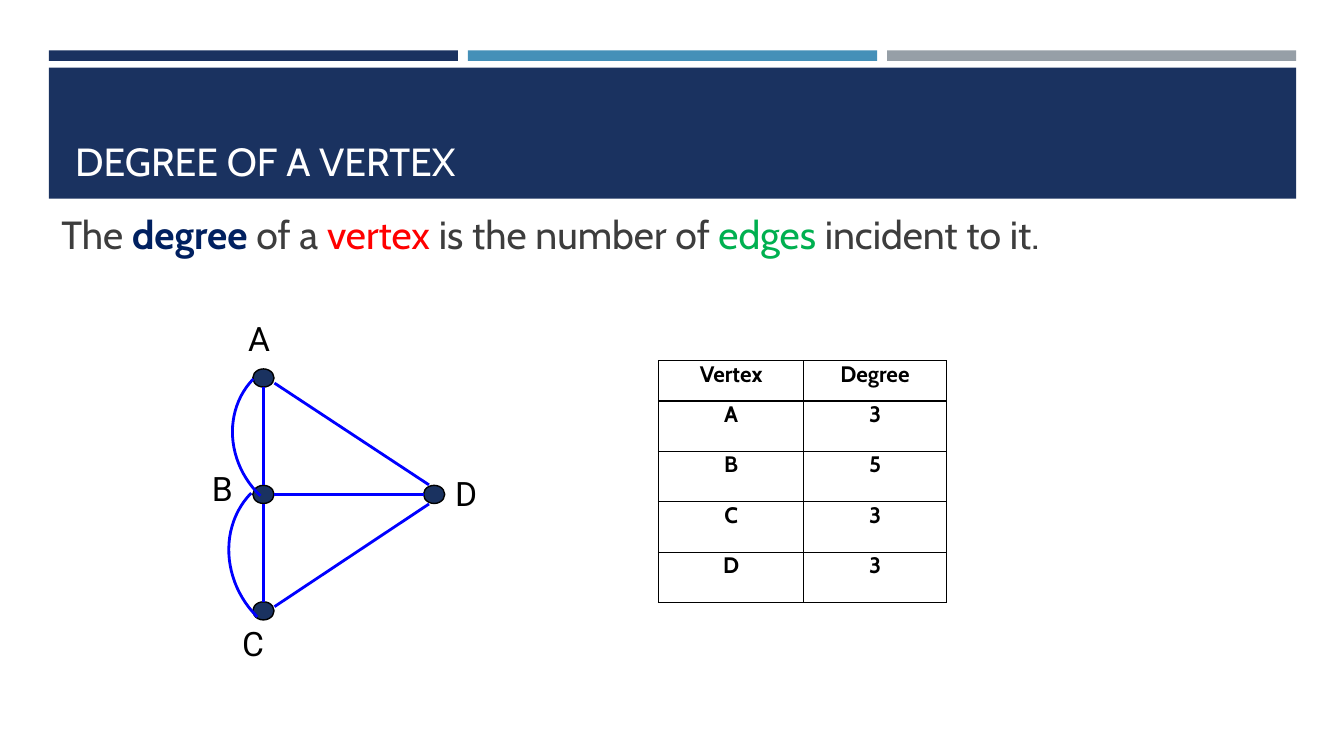
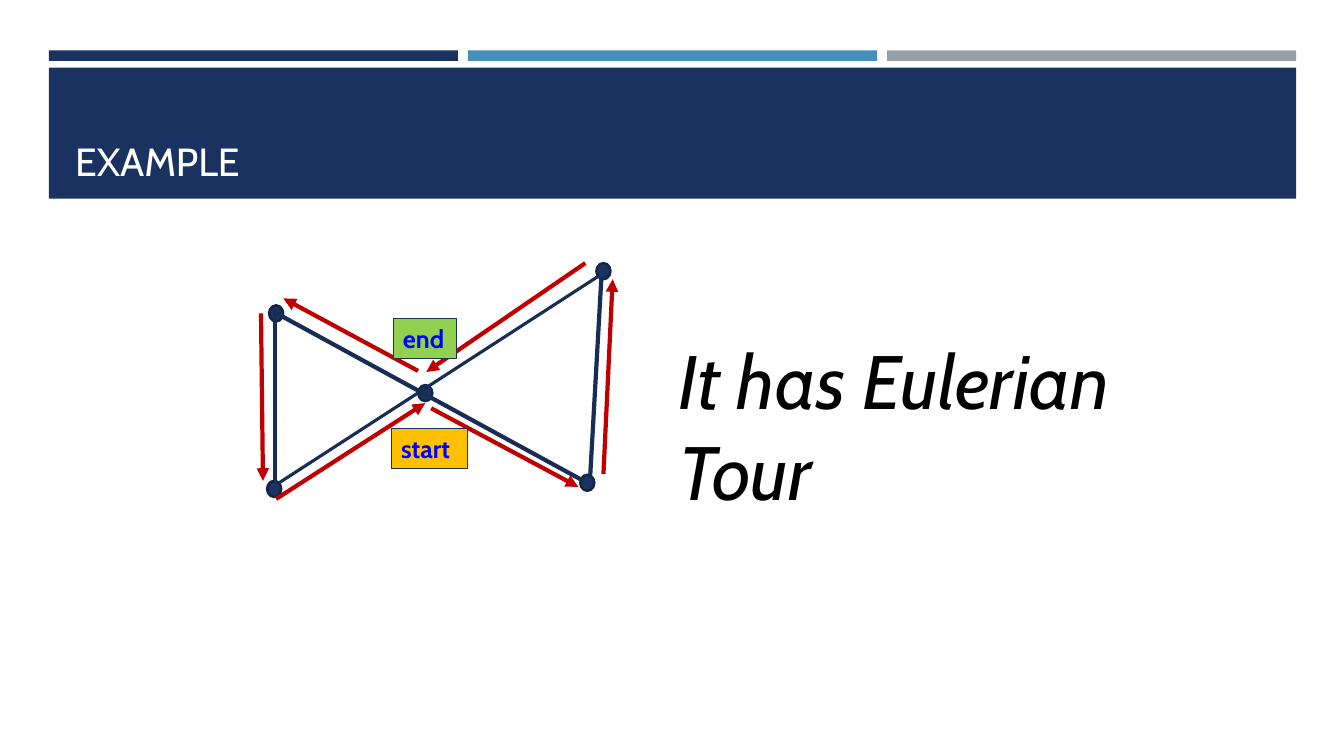
import dataclasses

import pptx
import pptx.dml.color
import pptx.enum.shapes
import pptx.enum.text
import pptx.oxml
import pptx.oxml.ns
import pptx.util

SHAPE = pptx.enum.shapes.MSO_SHAPE
ANCHOR = pptx.enum.text.MSO_ANCHOR
ALIGN = pptx.enum.text.PP_ALIGN
Pt = pptx.util.Pt
NS = pptx.oxml.ns.nsdecls("a")

COLORS = {
    "navy": "1A3260", "sky": "4590B8", "grey": "969FA7", "white": "FFFFFF",
    "black": "000000", "text": "3D3D3D", "term": "002060", "red": "FF0000",
    "green": "00B050", "blue": "0000FF", "node_line": "132547",
    "edge": "172D56", "tour": "C00000", "amber": "FFC000", "lime": "92D050",
}
TITLE = {"name": "Cabin", "size": Pt(28), "color": "white"}
BODY = {"name": "Cabin", "size": Pt(28), "color": "text"}
LABEL = {"name": "Roboto", "size": Pt(24), "color": "black"}
CELL = {"name": "Cabin", "size": Pt(16), "bold": True, "color": "black"}
TAG = {"name": "Cabin", "size": Pt(18), "bold": True, "color": "blue"}
CLAIM = {"name": "Cabin", "size": Pt(54), "italic": True, "color": "black"}


@dataclasses.dataclass
class Box:
    """A region in EMU; its inner boxes are given in percent of it."""
    x: float
    y: float
    w: float
    h: float

    def point(self, px, py):
        return round(self.x + self.w * px / 100), round(self.y + self.h * py / 100)

    def inner(self, px, py, pw, ph):
        return Box(*self.point(px, py), round(self.w * pw / 100), round(self.h * ph / 100))

    def place(self):
        return self.x, self.y, self.w, self.h


SLIDE = Box(0, 0, pptx.util.Inches(13.33), pptx.util.Inches(7.5))


def rgb(name):
    return pptx.dml.color.RGBColor.from_string(COLORS[name])


def write(tf, runs, align=ALIGN.LEFT):
    """Fill the first paragraph with (text, format) runs."""
    p = tf.paragraphs[0]
    p.alignment = align
    for text, fmt in runs:
        r = p.add_run()
        r.text = text
        for key, value in fmt.items():
            if key == "color":
                r.font.color.rgb = rgb(value)
            else:
                setattr(r.font, key, value)


def add_text(s, box, runs, anchor=ANCHOR.TOP):
    tf = s.shapes.add_textbox(*box.place()).text_frame
    tf.word_wrap = True
    tf.vertical_anchor = anchor
    write(tf, runs)


def add_shape(s, kind, box, fill, line=None, width=1):
    sp = s.shapes.add_shape(kind, *box.place())
    sp.shadow.inherit = False
    sp.fill.solid()
    sp.fill.fore_color.rgb = rgb(fill)
    if line:
        sp.line.color.rgb = rgb(line)
        sp.line.width = Pt(width)
    else:
        sp.line.fill.background()
    return sp


def add_nodes(s, box, points, size, line, width):
    """Ellipses centred on points of the box; size in percent of the slide."""
    for point in points:
        dot = SLIDE.inner(0, 0, *size)
        x, y = box.point(*point)
        dot.x, dot.y = x - dot.w // 2, y - dot.h // 2
        add_shape(s, SHAPE.OVAL, dot, "navy", line, width)


def add_line(s, box, ends, color, width, arrow=False):
    start, end = ends
    c = s.shapes.add_connector(pptx.enum.shapes.MSO_CONNECTOR.STRAIGHT,
                               *box.point(*start), *box.point(*end))
    c.line.color.rgb = rgb(color)
    c.line.width = Pt(width)
    sp_pr = c._element.spPr
    if arrow:
        sp_pr.find(pptx.oxml.ns.qn("a:ln")).append(
            pptx.oxml.parse_xml('<a:tailEnd %s type="triangle"/>' % NS))
    sp_pr.append(pptx.oxml.parse_xml("<a:effectLst %s/>" % NS))


def add_arc(s, box, controls, color, width, steps=24):
    """An open cubic curve through its four control points."""
    points = []
    for i in range(steps + 1):
        t = i / steps
        weights = ((1 - t) ** 3, 3 * t * (1 - t) ** 2, 3 * t * t * (1 - t), t ** 3)
        points.append(box.point(*(sum(k * c[axis] for k, c in zip(weights, controls))
                                  for axis in (0, 1))))
    builder = s.shapes.build_freeform(*points[0])
    builder.add_line_segments(points[1:], close=False)
    sp = builder.convert_to_shape()
    sp.shadow.inherit = False
    sp.fill.background()
    sp.line.color.rgb = rgb(color)
    sp.line.width = Pt(width)


def add_header(s, box, title):
    # Three bars with equal gaps above the title band
    gap = 0.8
    bar = (100 - 2 * gap) / 3
    for i, color in enumerate(("navy", "sky", "grey")):
        add_shape(s, SHAPE.RECTANGLE, box.inner(i * (bar + gap), 0, bar, 7), color)
    add_shape(s, SHAPE.RECTANGLE, box.inner(0, 11.6, 100, 88.4), "navy")
    add_text(s, box.inner(1.3, 18.4, 97.5, 75.5), [(title, TITLE)], ANCHOR.BOTTOM)


def add_multigraph(s, box):
    # Vertices and their labels
    add_nodes(s, box, [(0, 0), (0, 50), (0, 100), (100, 50)], (1.58, 2.4), "black", 1)
    labels = {"A": (-14.8, -28.1), "B": (-36, 36.6), "C": (-18.3, 103), "D": (106.5, 38.5)}
    for name, corner in labels.items():
        add_text(s, box.inner(*corner, 45.6, 25.5), [(name, LABEL)])
    # Straight and curved edges
    for ends in [((6, 50), (94, 50)), ((0, 3.9), (0, 45.9)), ((0, 54.1), (0, 96.1)),
                 ((6.5, 2.2), (97, 45.9)), ((6.5, 98.2), (97, 54.1))]:
        add_line(s, box, ends, "blue", 2)
    for controls in [((-5.9, 0.4), (-23.7, 13.9), (-21.9, 36.4), (-1.8, 50.6)),
                     ((-7.1, 49.4), (-26, 63.6), (-24.3, 87.4), (-3.6, 102.6))]:
        add_arc(s, box, controls, "blue", 2)


def set_borders(cell, color, width):
    tc_pr = cell._tc.get_or_add_tcPr()
    for i, side in enumerate(("lnL", "lnR", "lnT", "lnB")):
        tc_pr.insert(i, pptx.oxml.parse_xml(
            '<a:%s %s w="%d"><a:solidFill><a:srgbClr val="%s"/></a:solidFill></a:%s>'
            % (side, NS, Pt(width), COLORS[color], side)))


def add_degree_table(s, box, rows):
    table = s.shapes.add_table(len(rows), len(rows[0]), *box.place()).table
    for column, share in zip(table.columns, (50.5, 49.5)):
        column.width = round(box.w * share / 100)
    for i, row in enumerate(rows):
        # The heading row is 4 units high, the others 5
        table.rows[i].height = round(box.h * (5 if i else 4) / 24)
        for j, text in enumerate(row):
            cell = table.cell(i, j)
            for side in ("left", "right", "top", "bottom"):
                setattr(cell, "margin_" + side, 0)
            cell.fill.background()
            set_borders(cell, "black", 1)
            write(cell.text_frame, [(text, CELL)], ALIGN.CENTER)


def add_tour_graph(s, box):
    # Vertices and edges
    add_nodes(s, box, [(0.6, 19.4), (0, 100), (45.9, 56), (95.1, 97.2), (100, 0)],
              (1.05, 2.13), "node_line", 1.75)
    for ends, width in [(((98.5, 2.3), (1.5, 97.2)), 2.25),
                        (((-0.3, 18.5), (93.9, 96.3)), 3),
                        (((0.3, 19.4), (0.3, 97.2)), 3),
                        (((99.4, 2.3), (96, 93.5)), 3)]:
        add_line(s, box, ends, "edge", width)
    # Arrows in the order of the tour
    for ends in [((0.6, 104.6), (45.9, 60.6)), ((47.7, 63), (92.4, 99.1)),
                 ((100, 93.1), (102.8, 3.7)), ((94.5, -3.7), (46.2, 46.3)),
                 ((43.7, 45.8), (2.8, 12.5)), ((-4, 19.4), (-3.4, 96.3))]:
        add_line(s, box, ends, "tour", 3, arrow=True)
    # Start and end tags
    for text, place, fill in [("start", (35.5, 72.2, 23.2, 18.5), "amber"),
                              ("end", (36.1, 21.8, 19.3, 18.5), "lime")]:
        sp = add_shape(s, SHAPE.RECTANGLE, box.inner(*place), fill, "navy", 0.75)
        sp.text_frame.word_wrap = False
        write(sp.text_frame, [(text, TAG)])


def new_slide(prs, title):
    s = prs.slides.add_slide(prs.slide_layouts[6])
    add_header(s, SLIDE.inner(3.64, 6.67, 92.8, 19.6), title)
    return s


def degree_slide(prs):
    s = new_slide(prs, "DEGREE OF A VERTEX")
    add_text(s, SLIDE.inner(3.83, 26.4, 91.4, 9.07), [
        ("The ", BODY), ("degree ", {**BODY, "color": "term", "bold": True}),
        ("of a ", BODY), ("vertex", {**BODY, "color": "red"}),
        (" is the number of ", BODY), ("edges", {**BODY, "color": "green"}),
        (" incident to it.", BODY)], ANCHOR.MIDDLE)
    add_multigraph(s, SLIDE.inner(19.6, 50, 12.7, 30.8))
    add_degree_table(s, SLIDE.inner(49, 47.7, 21.4, 32), [
        ("Vertex", "Degree"), ("A", "3"), ("B", "5"), ("C", "3"), ("D", "3")])


def tour_slide(prs):
    s = new_slide(prs, "EXAMPLE")
    add_tour_graph(s, SLIDE.inner(20.4, 35.87, 24.5, 28.8))
    add_text(s, SLIDE.inner(49.74, 43.5, 42.46, 13.5), [("It has Eulerian Tour", CLAIM)])


def main():
    prs = pptx.Presentation()
    prs.slide_width, prs.slide_height = SLIDE.w, SLIDE.h
    degree_slide(prs)
    tour_slide(prs)
    prs.save("out.pptx")


if __name__ == "__main__":
    main()
